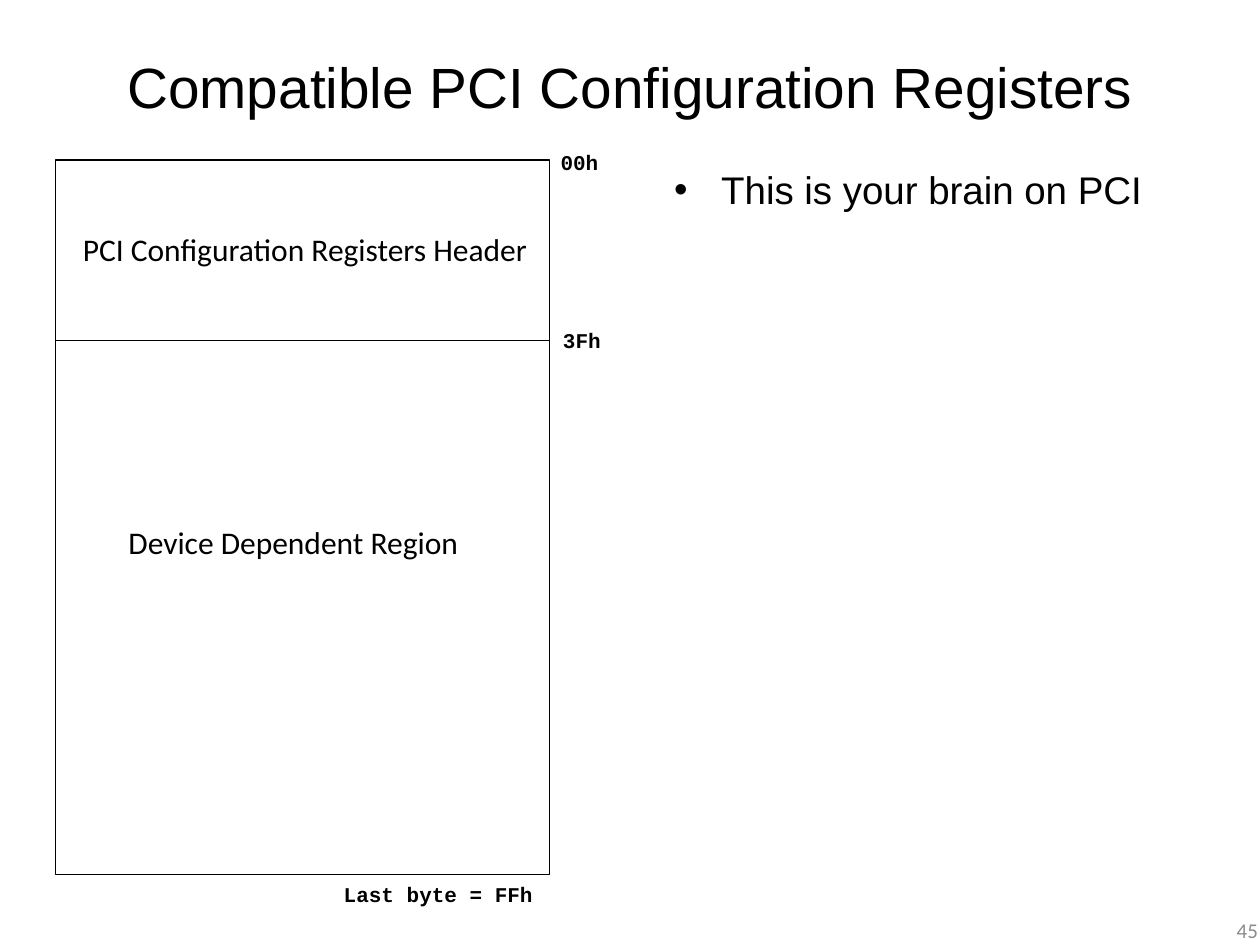
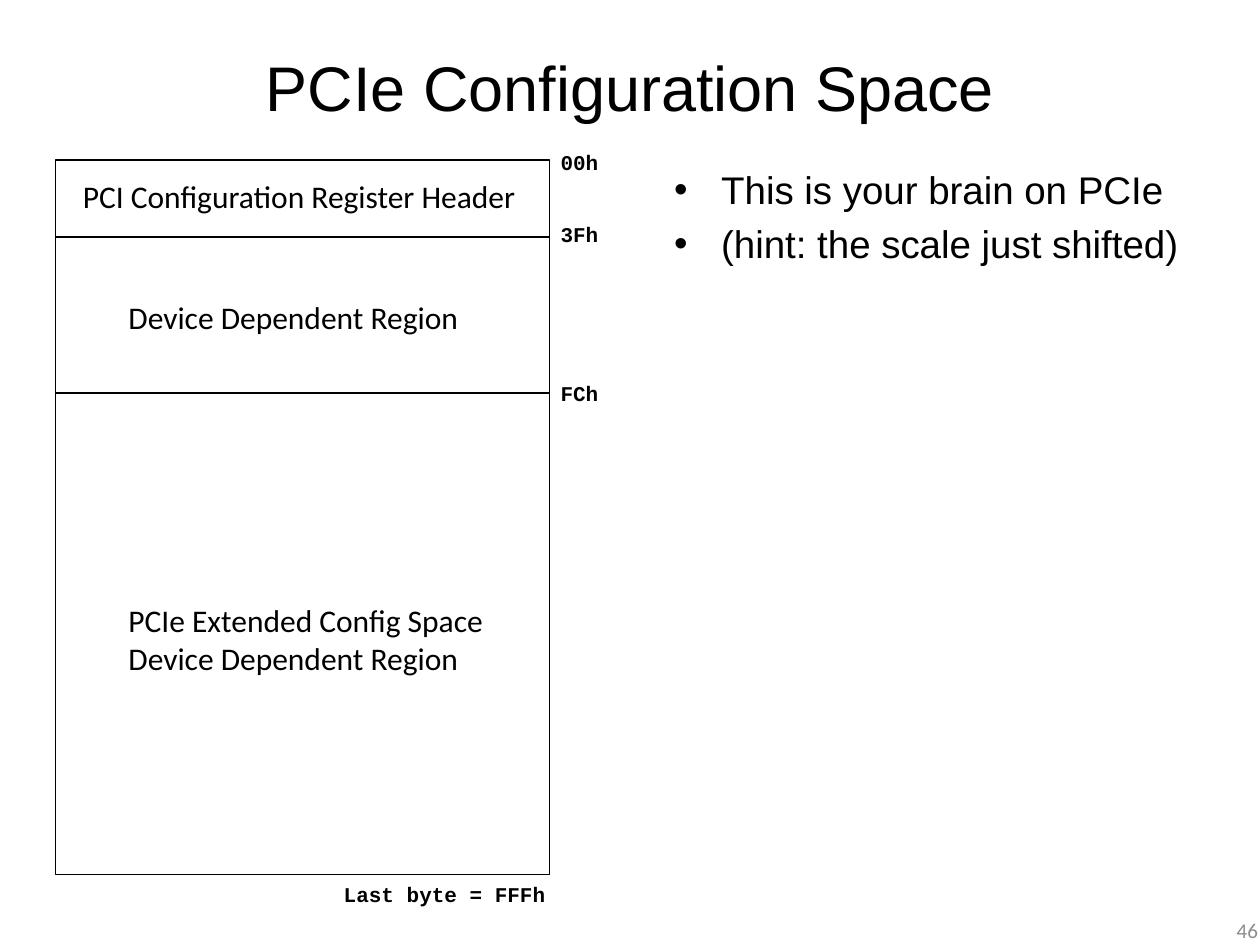
from lxml import etree
from pptx import Presentation
from pptx.dml.color import RGBColor
from pptx.enum.shapes import MSO_CONNECTOR, MSO_SHAPE
from pptx.enum.text import MSO_ANCHOR, MSO_AUTO_SIZE, PP_ALIGN
from pptx.oxml.ns import qn
from pptx.util import Cm, Pt

# Shared style
BLACK, GRAY = "000000", "8C8C8C"
HEADING, BODY, MONO = "Arial", "Calibri", "Courier New"

# Memory map geometry in cm
MAP_LEFT, MAP_TOP, MAP_WIDTH, MAP_HEIGHT = 1.12, 3.23, 9.96, 14.4
LABEL_HEIGHT, OFFSET_HEIGHT = 1.02, 0.76


def color(value):
    return RGBColor.from_string(value)


def add_text(s, lines, box, size, font, fill=BLACK, bold=False,
             align=PP_ALIGN.LEFT, anchor=MSO_ANCHOR.TOP, wrap=True):
    """Text box with one paragraph per line; unwrapped boxes fit their text."""
    tf = s.shapes.add_textbox(*map(Cm, box)).text_frame
    tf.text = "\n".join(lines)
    tf.word_wrap = wrap
    tf.auto_size = MSO_AUTO_SIZE.NONE if wrap else MSO_AUTO_SIZE.SHAPE_TO_FIT_TEXT
    tf.vertical_anchor = anchor
    for p in tf.paragraphs:
        p.alignment = align
        for r in p.runs:
            r.font.size, r.font.name, r.font.bold = Pt(size), font, bold
            r.font.color.rgb = color(fill)
    return tf


def add_title(s, title, size):
    add_text(s, [title], (1.27, 0.43, 22.86, 2.62), size, HEADING,
             align=PP_ALIGN.CENTER, anchor=MSO_ANCHOR.MIDDLE)


def add_bullets(s, lines):
    tf = add_text(s, lines, (13.34, 3.23, 11.43, 15.39), 22, HEADING)
    for p in tf.paragraphs:
        p.space_before = Pt(4.4)
        pPr = p._p.get_or_add_pPr()
        pPr.set("marL", str(Cm(0.95)))
        pPr.set("indent", str(-Cm(0.95)))
        etree.SubElement(pPr, qn("a:buFont")).set("typeface", HEADING)
        etree.SubElement(pPr, qn("a:buChar")).set("char", "•")


def add_page_number(s, number):
    add_text(s, [str(number)], (19.69, 18.24, 5.92, 1.02), 12, BODY, GRAY,
             align=PP_ALIGN.RIGHT, anchor=MSO_ANCHOR.MIDDLE)


def add_map_frame(s):
    sp = s.shapes.add_shape(MSO_SHAPE.RECTANGLE, Cm(MAP_LEFT), Cm(MAP_TOP),
                            Cm(MAP_WIDTH), Cm(MAP_HEIGHT))
    sp.shadow.inherit = False
    sp.fill.background()
    sp.line.color.rgb = color(BLACK)
    sp.line.width = Pt(1)


def add_divider(s, y):
    line = s.shapes.add_connector(MSO_CONNECTOR.STRAIGHT, Cm(MAP_LEFT), Cm(y),
                                  Cm(MAP_LEFT + MAP_WIDTH), Cm(y))
    line.line.color.rgb = color(BLACK)
    line.line.width = Pt(0.75)
    etree.SubElement(line._element.spPr, qn("a:effectLst"))


def add_region(s, lines, left, top, width):
    height = LABEL_HEIGHT + 0.78 * (len(lines) - 1)
    add_text(s, lines, (left, top, width, height), 18, BODY, wrap=False)


def add_offset(s, label, left, top, width=1.3):
    add_text(s, [label], (left, top, width, OFFSET_HEIGHT), 12, MONO,
             bold=True, wrap=False)


def add_map_slide(prs, number, title, title_size, bullets, dividers, regions,
                  offsets, last_byte, last_width):
    s = prs.slides.add_slide(prs.slide_layouts[6])
    add_map_frame(s)
    add_title(s, title, title_size)
    add_bullets(s, bullets)
    for y in dividers:
        add_divider(s, y)
    for region in regions:
        add_region(s, *region)
    add_offset(s, "00h", 11.05, 2.9)
    for offset in offsets:
        add_offset(s, *offset)
    add_offset(s, f"Last byte = {last_byte}", 6.68, 17.65, last_width)
    add_page_number(s, number)


def main():
    prs = Presentation()
    prs.slide_width, prs.slide_height = Cm(25.4), Cm(19.05)

    # PCI: 256 bytes
    add_map_slide(
        prs, 45, "Compatible PCI Configuration Registers", 32.4,
        bullets=["This is your brain on PCI"],
        dividers=[6.86],
        regions=[(["PCI Configuration Registers Header"], 1.42, 4.52, 9.63),
                 (["Device Dependent Region"], 2.34, 10.41, 7.26)],
        offsets=[("3Fh", 11.1, 6.48)],
        last_byte="FFh", last_width=4.39)

    # PCIe: 4096 bytes
    add_map_slide(
        prs, 46, "PCIe Configuration Space", 36,
        bullets=["This is your brain on PCIe", "(hint: the scale just shifted)"],
        dividers=[4.78, 7.92],
        regions=[(["PCI Configuration Register Header"], 1.42, 3.45, 9.35),
                 (["Device Dependent Region"], 2.34, 5.89, 7.26),
                 (["PCIe Extended Config Space", "Device Dependent Region"],
                  2.34, 11.99, 7.75)],
        offsets=[("3Fh", 11.05, 4.34), ("FCh", 11.05, 7.54)],
        last_byte="FFFh", last_width=4.65)

    prs.save("out.pptx")


if __name__ == "__main__":
    main()
